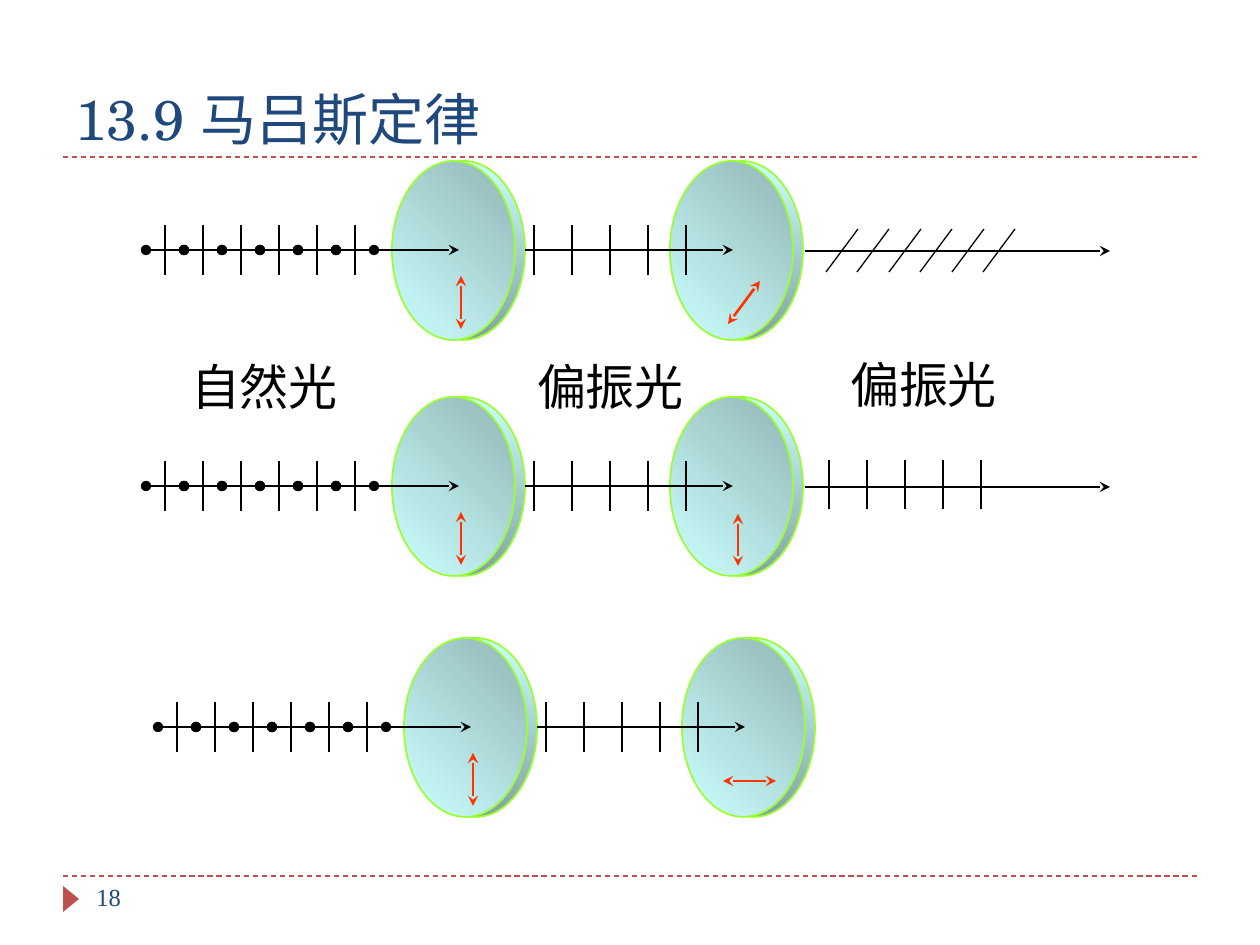
from lxml.etree import SubElement
from pptx import Presentation
from pptx.dml.color import RGBColor as RGB
from pptx.enum.dml import MSO_LINE as Dash
from pptx.enum.shapes import MSO_CONNECTOR as Conn, MSO_SHAPE as Geo
from pptx.enum.text import MSO_ANCHOR as Anchor, PP_ALIGN as Align
from pptx.oxml.ns import qn
from pptx.util import Pt

SCALE = 914400 / 126  # EMU in one px
COLORS = {
    "title": "1F497D", "accent": "C0504D", "ink": "000000", "red": "FF3300",
    "rim": "99FF33", "light": "CCFFFF", "back": "82A2A2", "front": "92B6B6",
}
STEP = 38  # gap between ticks on a beam
LENS_GAP = 278


def px(*vals):
    return [round(v * SCALE) for v in vals]


def rgb(name):
    return RGB.from_string(COLORS[name])


class Board:
    """Holds the style and the current slide."""

    def __init__(self, slide, font="Times New Roman"):
        self.shapes = slide.shapes
        self.font = font

    def text(self, words, box, size=28, color="ink", font=None,
             align=Align.LEFT, anchor=Anchor.TOP, wrap=True):
        frame = self.shapes.add_textbox(*px(*box)).text_frame
        frame.word_wrap = wrap
        frame.vertical_anchor = anchor
        para = frame.paragraphs[0]
        para.alignment = align
        run = para.add_run()
        run.text = words
        run.font.size = Pt(size)
        run.font.name = font or self.font
        run.font.color.rgb = rgb(color)

    def line(self, x1, y1, x2, y2, color="ink", width=1, head=None,
             tail=None, dash=None):
        link = self.shapes.add_connector(Conn.STRAIGHT, *px(x1, y1, x2, y2))
        link.line.color.rgb = rgb(color)
        link.line.width = Pt(width)
        if dash:
            link.line.dash_style = dash
        props = link._element.spPr
        ends = props.find(qn("a:ln"))
        for tag, kind in (("a:headEnd", head), ("a:tailEnd", tail)):
            if kind:
                SubElement(ends, qn(tag), type=kind)
        SubElement(props, qn("a:effectLst"))

    def shape(self, geo, box):
        item = self.shapes.add_shape(geo, *px(*box))
        item.shadow.inherit = False
        return item

    def mark(self, box):
        item = self.shape(Geo.ISOSCELES_TRIANGLE, box)
        item.rotation = 90
        item.fill.solid()
        item.fill.fore_color.rgb = rgb("accent")
        item.line.fill.background()

    def lens(self, x, axis, arrow):
        """Two offset discs and the red polarizing axis."""
        for left, shade, angle in ((x + 10, "back", 270), (x, "front", 45)):
            disc = self.shape(Geo.OVAL, (left, axis - 89, 123, 179))
            disc.fill.gradient()
            disc.fill.gradient_angle = angle
            for stop, name, pos in zip(disc.fill.gradient_stops,
                                       ("light", shade), (0, 1)):
                stop.color.rgb = rgb(name)
                stop.position = pos
            disc.line.color.rgb = rgb("rim")
            disc.line.width = Pt(1)
        x1, y1, x2, y2 = arrow
        self.line(x + x1, axis + y1, x + x2, axis + y2, color="red",
                  width=1.5, head="stealth", tail="stealth")

    def ray(self, x1, x2, y):
        self.line(x1, y, x2, y, width=1.5, tail="stealth")

    def ticks(self, x, y, count, up=25, down=25):
        for left in range(x, x + count * STEP, STEP):
            self.line(left, y - up, left, y + down)

    def dots(self, x, y, count):
        for left in range(x, x + count * STEP, STEP):
            self.line(left, y, left + STEP, y, width=1.5,
                      head="oval", tail="oval")

    def slants(self, x, y, count):
        for i in range(count):
            left = x + 63 * i // 2
            self.line(left + 32, y - 22, left, y + 21, width=0.75)


def main():
    deck = Presentation()
    deck.slide_width, deck.slide_height = px(1260, 945)
    board = Board(deck.slides.add_slide(deck.slide_layouts[6]))

    # Frame: rules, title and page number
    for y in (876, 157):
        board.line(63, y, 1197, y, color="accent", width=0.75, dash=Dash.DASH)
    board.mark((58, 891, 26, 16))
    board.text("13.9 马吕斯定律", (63, 32, 1134, 126), size=32, color="title",
               font="TeX Gyre Schola", anchor=Anchor.BOTTOM)
    board.text("18", (84, 876, 273, 50), size=14, color="title")

    # Rows: shift, axis height and the red arrow of the second lens
    upright = (69, 26, 69, 79)
    rows = (
        (0, 250, (90, 31, 58, 74)),
        (0, 486, (68, 28, 68, 80)),
        (12, 727, (41, 54, 94, 54)),
    )
    for shift, axis, arrow in rows:
        first = 392 + shift
        board.lens(first, axis, upright)
        board.lens(first + LENS_GAP, axis, arrow)
        # Natural light
        board.dots(146 + shift, axis, 6)
        board.ray(374 + shift, 459 + shift, axis)
        board.ticks(165 + shift, axis, 6)
        # Polarized light
        board.ray(525 + shift, 733 + shift, axis)
        board.ticks(534 + shift, axis, 5)

    # Light behind the second lens
    for y in (251, 487):
        board.ray(805, 1110, y)
    board.slants(826, 251, 6)
    board.ticks(829, 487, 5, up=27, down=22)

    # Labels
    for words, x, y in (("自然光", 178, 350), ("偏振光", 524, 350),
                        ("偏振光", 837, 348)):
        board.text(words, (x, y, 173, 72), align=Align.CENTER,
                   anchor=Anchor.MIDDLE, wrap=False)

    deck.save("out.pptx")


if __name__ == "__main__":
    main()
